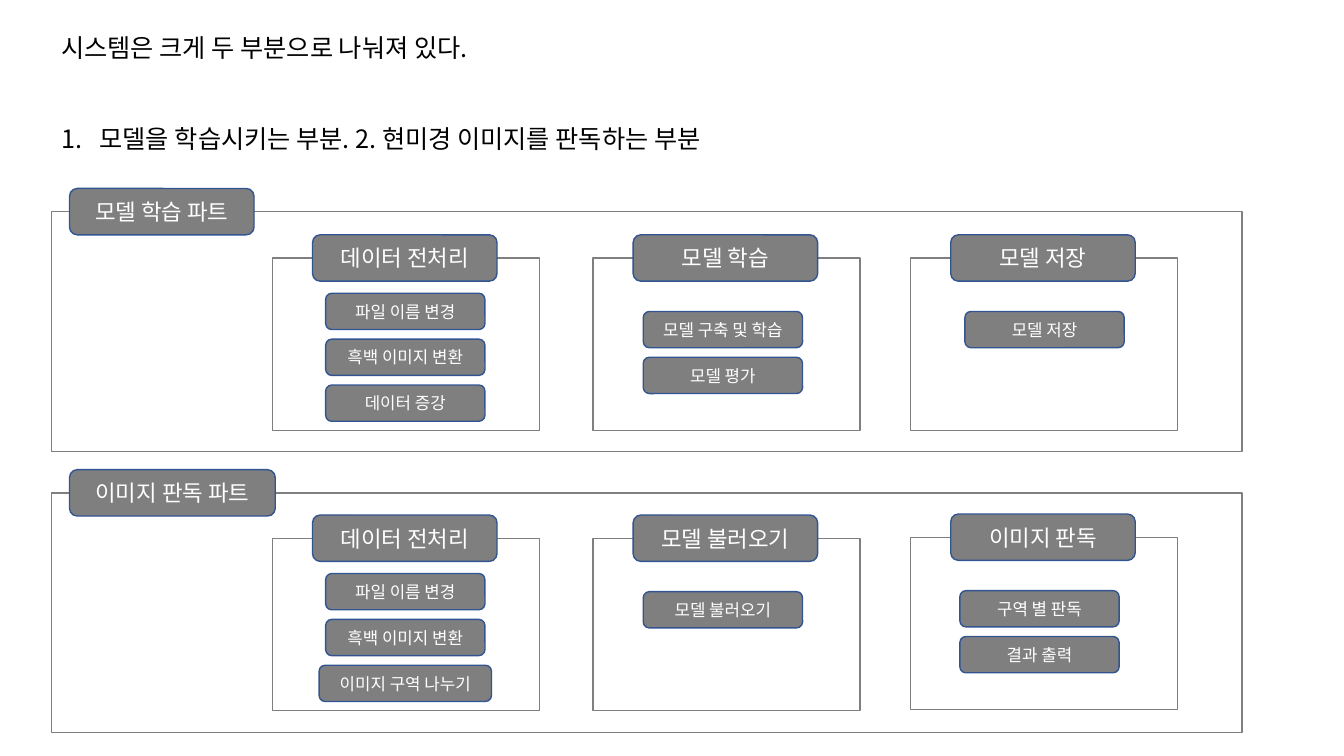
from lxml import etree
from pptx import Presentation
from pptx.dml.color import RGBColor
from pptx.enum.shapes import MSO_SHAPE
from pptx.enum.text import MSO_ANCHOR, PP_ALIGN
from pptx.oxml.ns import qn
from pptx.util import Inches, Pt

RECTANGLE = MSO_SHAPE.RECTANGLE
ROUNDED = MSO_SHAPE.ROUNDED_RECTANGLE
MIDDLE = MSO_ANCHOR.MIDDLE
CENTER = PP_ALIGN.CENTER

FONT = "Noto Sans CJK KR"
GRAY = RGBColor(0x7F, 0x7F, 0x7F)
BLUE = RGBColor(0x32, 0x54, 0x91)
WHITE = RGBColor(0xFF, 0xFF, 0xFF)
BLACK = RGBColor(0x00, 0x00, 0x00)

PANEL_LEFT, PANEL_WIDTH, PANEL_HEIGHT = 0.51, 11.81, 2.38
STAGE_WIDTH, STAGE_HEIGHT = 2.65, 1.71
TITLE_WIDTH, TITLE_HEIGHT = 1.83, 0.46
STEP_WIDTH, STEP_HEIGHT, STEP_PITCH = 1.58, 0.36, 0.455
LINE_HEIGHT = Pt(32.5)

# Part: title, title width, panel top, stages.
# Stage: title, left, top, centre of the steps, offset of the first step, steps.
# Step: text, width.
PARTS = [
    ("모델 학습 파트", 1.83, 2.1, [
        ("데이터 전처리", 2.7, 2.56, 4.02, 0.35,
         [("파일 이름 변경", STEP_WIDTH), ("흑백 이미지 변환", STEP_WIDTH),
          ("데이터 증강", STEP_WIDTH)]),
        ("모델 학습", 5.88, 2.56, 7.17, 0.53,
         [("모델 구축 및 학습", STEP_WIDTH), ("모델 평가", STEP_WIDTH)]),
        ("모델 저장", 9.03, 2.56, 10.36, 0.53, [("모델 저장", STEP_WIDTH)]),
    ]),
    ("이미지 판독 파트", 2.04, 4.89, [
        ("데이터 전처리", 2.7, 5.34, 4.02, 0.35,
         [("파일 이름 변경", STEP_WIDTH), ("흑백 이미지 변환", STEP_WIDTH),
          ("이미지 구역 나누기", 1.71)]),
        ("모델 불러오기", 5.88, 5.34, 7.17, 0.53,
         [("모델 불러오기", STEP_WIDTH)]),
        ("이미지 판독", 9.03, 5.33, 10.31, 0.53,
         [("구역 별 판독", STEP_WIDTH), ("결과 출력", STEP_WIDTH)]),
    ]),
]


def write(para, text, size, color):
    span = para.add_run()
    span.text = text
    para.font.size = span.font.size = Pt(size)
    para.font.name = span.font.name = FONT
    span.font.color.rgb = color
    # East Asian typeface for the Korean text
    etree.SubElement(span.font._element, qn("a:ea"), typeface=FONT)


def add_box(page, kind, left, top, width, height, line_color):
    box = page.shapes.add_shape(
        kind, Inches(left), Inches(top), Inches(width), Inches(height))
    box.shadow.inherit = False
    box.line.color.rgb = line_color
    box.line.width = Pt(1)
    return box


def add_frame(page, left, top, width, height):
    add_box(page, RECTANGLE, left, top, width, height, GRAY).fill.background()


def add_label(page, text, left, top, width, height, size):
    box = add_box(page, ROUNDED, left, top, width, height, BLUE)
    box.fill.solid()
    box.fill.fore_color.rgb = GRAY
    box.text_frame.vertical_anchor = MIDDLE
    para = box.text_frame.paragraphs[0]
    para.alignment = CENTER
    write(para, text, size, WHITE)


def add_introduction(page):
    box = page.shapes.add_textbox(
        Inches(0.51), Inches(0.12), Inches(12.6), Inches(1.41))
    box.text_frame.word_wrap = True
    opening = box.text_frame.paragraphs[0]
    numbered = box.text_frame.add_paragraph()
    opening.line_spacing = numbered.line_spacing = LINE_HEIGHT
    numbered.space_before = LINE_HEIGHT
    write(opening, "시스템은 크게 두 부분으로 나눠져 있다.", 18, BLACK)
    write(numbered, "모델을 학습시키는 부분. 2. 현미경 이미지를 판독하는 부분", 18, BLACK)

    # Automatic number with a hanging indent
    properties = numbered._p.get_or_add_pPr()
    properties.set("marL", str(Inches(0.38)))
    properties.set("indent", str(-Inches(0.38)))
    number = etree.Element(qn("a:buAutoNum"), type="arabicPeriod")
    properties.find(qn("a:spcBef")).addnext(number)


def add_stage(page, title, left, top, center, offset, steps):
    add_frame(page, left, top, STAGE_WIDTH, STAGE_HEIGHT)
    add_label(page, title, left + 0.4, top - TITLE_HEIGHT / 2,
              TITLE_WIDTH, TITLE_HEIGHT, 16)
    for index, (text, width) in enumerate(steps):
        add_label(page, text, center - width / 2,
                  top + offset + index * STEP_PITCH, width, STEP_HEIGHT, 12)


def add_part(page, title, title_width, top, stages):
    add_frame(page, PANEL_LEFT, top, PANEL_WIDTH, PANEL_HEIGHT)
    add_label(page, title, PANEL_LEFT + 0.18, top - TITLE_HEIGHT / 2,
              title_width, TITLE_HEIGHT, 16)
    for stage in stages:
        add_stage(page, *stage)


def main():
    deck = Presentation()
    deck.slide_width, deck.slide_height = Inches(13.33), Inches(7.5)
    page = deck.slides.add_slide(deck.slide_layouts[6])
    add_introduction(page)
    for part in PARTS:
        add_part(page, *part)
    deck.save("out.pptx")


if __name__ == "__main__":
    main()
